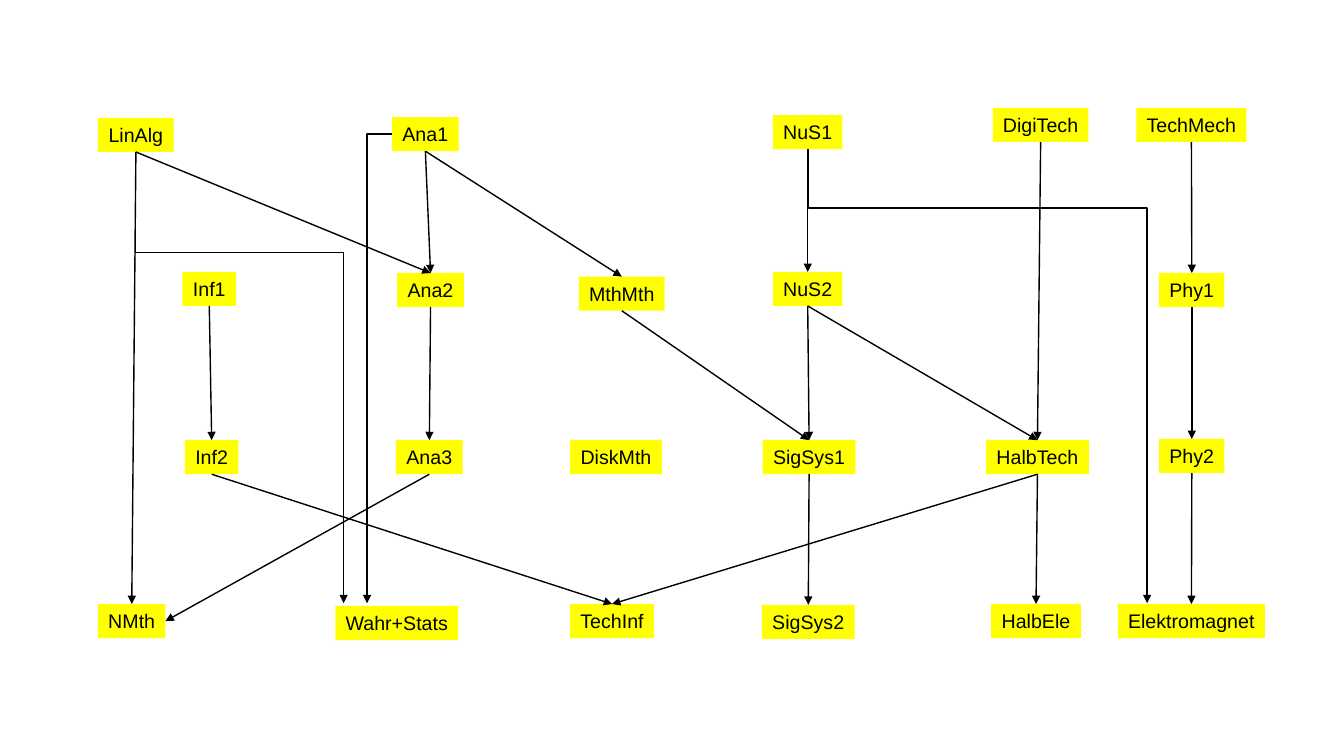
from lxml import etree
from pptx import Presentation
from pptx.dml.color import RGBColor
from pptx.enum.shapes import MSO_CONNECTOR, MSO_SHAPE
from pptx.enum.text import MSO_ANCHOR, MSO_AUTO_SIZE, PP_ALIGN
from pptx.oxml.ns import qn
from pptx.util import Cm, Pt

RECTANGLE = MSO_SHAPE.RECTANGLE
STRAIGHT, ELBOW = MSO_CONNECTOR.STRAIGHT, MSO_CONNECTOR.ELBOW
CENTER, MIDDLE = PP_ALIGN.CENTER, MSO_ANCHOR.MIDDLE
GROW = MSO_AUTO_SIZE.SHAPE_TO_FIT_TEXT
TOP_SITE, BOTTOM_SITE, RIGHT_SITE = 0, 2, 3
BOX_HEIGHT = 0.86
BLACK, YELLOW = "000000", "FFFF00"


def color(hex_string):
    return RGBColor.from_string(hex_string)


def style_arrow(connector):
    """Make the line thin and black, with a triangle at its end and no shadow."""
    connector.line.color.rgb = color(BLACK)
    connector.line.width = Pt(1)
    properties = connector._element.spPr
    etree.SubElement(properties.find(qn("a:ln")), qn("a:tailEnd"), type="triangle")
    etree.SubElement(properties, qn("a:effectLst"))


deck = Presentation()
deck.slide_width, deck.slide_height = Cm(33.87), Cm(19.05)
page = deck.slides.add_slide(deck.slide_layouts[6])

# Courses: name, left, top, width
courses = [
    ("LinAlg", 2.47, 2.97, 1.91),
    ("Ana1", 9.88, 2.95, 1.68),
    ("NuS1", 19.48, 2.9, 1.75),
    ("DigiTech", 25.02, 2.72, 2.41),
    ("TechMech", 28.64, 2.72, 2.77),
    ("Inf1", 4.6, 6.85, 1.35),
    ("Ana2", 10.01, 6.88, 1.68),
    ("NuS2", 19.48, 6.85, 1.75),
    ("MthMth", 14.59, 6.97, 2.16),
    ("Phy1", 29.21, 6.88, 1.65),
    ("Inf2", 4.66, 11.09, 1.35),
    ("Ana3", 9.98, 11.09, 1.68),
    ("DiskMth", 14.37, 11.09, 2.31),
    ("SigSys1", 19.22, 11.09, 2.34),
    ("HalbTech", 24.85, 11.09, 2.59),
    ("Phy2", 29.21, 11.06, 1.65),
    ("NMth", 2.47, 15.22, 1.7),
    ("Wahr+Stats", 8.45, 15.27, 3.1),
    ("TechInf", 14.37, 15.22, 2.11),
    ("SigSys2", 19.2, 15.24, 2.34),
    ("HalbEle", 24.98, 15.22, 2.26),
    ("Elektromagnet", 28.17, 15.22, 3.71),
]
boxes = {}
for name, left, top, width in courses:
    box = page.shapes.add_shape(RECTANGLE, Cm(left), Cm(top), Cm(width), Cm(BOX_HEIGHT))
    box.shadow.inherit = False
    box.fill.solid()
    box.fill.fore_color.rgb = color(YELLOW)
    box.line.fill.background()
    frame = box.text_frame
    frame.word_wrap = False
    frame.auto_size = GROW
    frame.vertical_anchor = MIDDLE
    para = frame.paragraphs[0]
    para.alignment = CENTER
    span = para.add_run()
    span.text = name
    span.font.name = "Arial"
    span.font.size = Pt(14)
    span.font.color.rgb = color(BLACK)
    boxes[name] = box

# Straight arrows from each course to those that build on it
followers = {
    "LinAlg": ["NMth", "Ana2"],
    "Ana1": ["Ana2", "MthMth"],
    "NuS1": ["NuS2"],
    "MthMth": ["SigSys1"],
    "TechMech": ["Phy1"],
    "Phy1": ["Phy2"],
    "Phy2": ["Elektromagnet"],
    "DigiTech": ["HalbTech"],
    "HalbTech": ["TechInf", "HalbEle"],
    "SigSys1": ["SigSys2"],
    "Inf1": ["Inf2"],
    "Inf2": ["TechInf"],
    "Ana2": ["Ana3"],
    "Ana3": ["NMth"],
    "NuS2": ["SigSys1", "HalbTech"],
}
for course, targets in followers.items():
    for target in targets:
        arrow = page.shapes.add_connector(STRAIGHT, 0, 0, 0, 0)
        arrow.begin_connect(boxes[course], BOTTOM_SITE)
        arrow.end_connect(boxes[target], RIGHT_SITE if course == "Ana3" else TOP_SITE)
        style_arrow(arrow)

# Bent arrows: start x, start y, end x, end y, percent of the height before the bend
# (None: leave sideways and bend once)
bent_arrows = [
    (3.41, 3.84, 8.66, 15.2, 22.2),
    (9.88, 3.38, 9.25, 15.2, None),
    (20.37, 3.76, 28.91, 15.2, 13),
]
for start_x, start_y, end_x, end_y, bend in bent_arrows:
    if bend is None:
        corners, degrees = (end_x, end_y, start_x, start_y), 180
    else:
        middle_x, middle_y = (start_x + end_x) / 2, (start_y + end_y) / 2
        half_x, half_y = (end_x - start_x) / 2, (end_y - start_y) / 2
        corners = (middle_x + half_y, middle_y - half_x, middle_x - half_y, middle_y + half_x)
        degrees = 270
    arrow = page.shapes.add_connector(ELBOW, *[Cm(value) for value in corners])
    properties = arrow._element.spPr
    properties.find(qn("a:xfrm")).set("rot", str(degrees * 60000))
    geometry = properties.find(qn("a:prstGeom"))
    if bend is None:
        geometry.set("prst", "bentConnector2")
    else:
        guide = etree.SubElement(geometry.find(qn("a:avLst")), qn("a:gd"))
        guide.set("name", "adj1")
        guide.set("fmla", f"val {round(bend * 1000)}")
    style_arrow(arrow)

deck.save("out.pptx")
